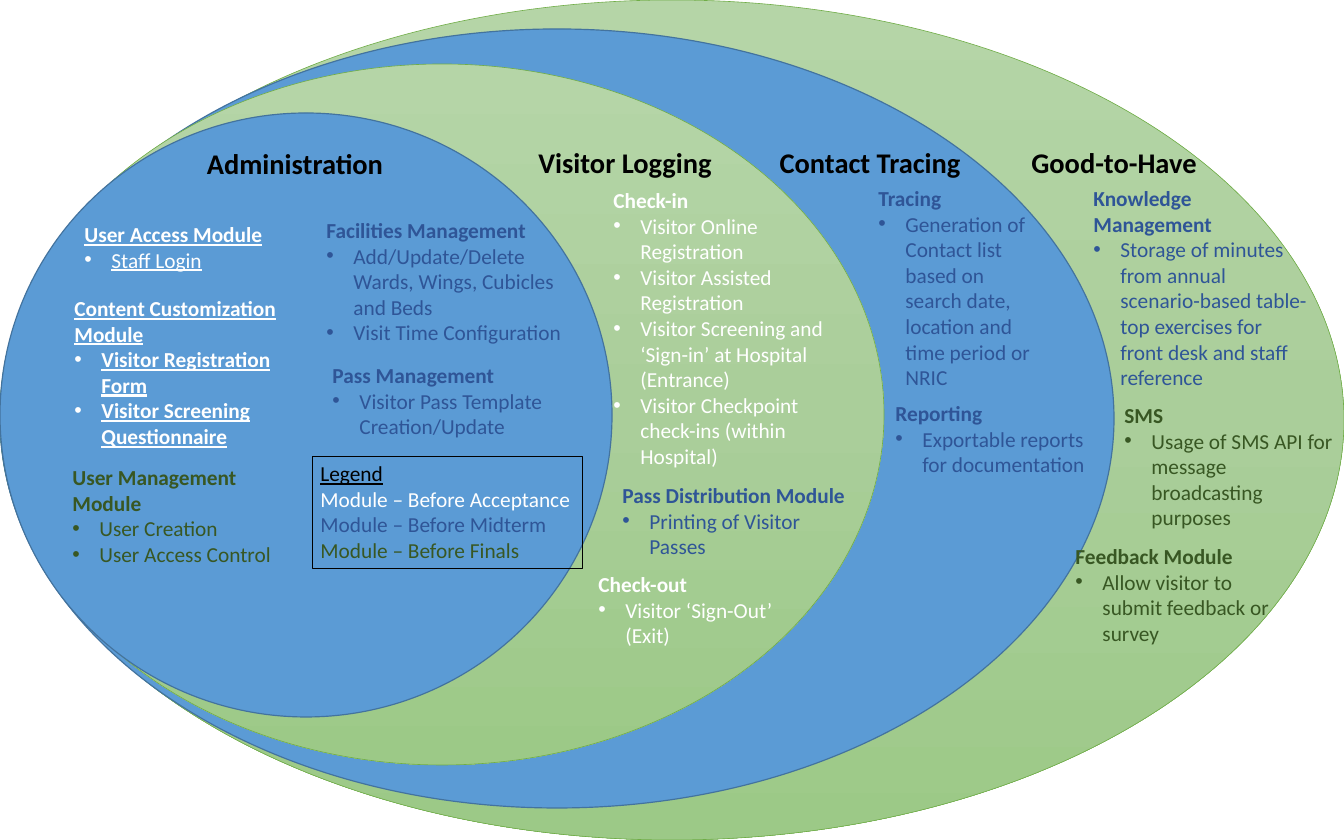
from copy import deepcopy
from lxml.etree import SubElement
from pptx import Presentation
from pptx.dml.color import RGBColor
from pptx.enum.shapes import MSO_SHAPE as Preset
from pptx.enum.text import MSO_ANCHOR as Anchor, PP_ALIGN as Align
from pptx.oxml.ns import qn
from pptx.util import Emu, Pt

BLACK = RGBColor(0x00, 0x00, 0x00)
WHITE = RGBColor(0xFF, 0xFF, 0xFF)
NAVY = RGBColor(0x2F, 0x55, 0x97)
FOREST = RGBColor(0x38, 0x57, 0x23)
BLUE = RGBColor(0x5B, 0x9B, 0xD5)
BLUE_EDGE = RGBColor(0x43, 0x73, 0x9E)
GREEN_EDGE = RGBColor(0x70, 0xAD, 0x47)
GREENS = (
    (0, RGBColor(0xB5, 0xD5, 0xA7)),
    (0.5, RGBColor(0xAA, 0xCE, 0x9A)),
    (1, RGBColor(0x9C, 0xC9, 0x87)),
)
SCALE = 14401800 / 1344


def px(length):
    return Emu(round(length * SCALE))


class ScopeDiagram:
    font_name = "Calibri"
    heading_size = 24
    body_size = 18
    bullet_indent = 27

    def __init__(self, slide):
        self.slide = slide

    def ellipse(self, top, width, height, green):
        shape = self.slide.shapes.add_shape(Preset.OVAL, *map(px, (0, top, width, height)))
        shape.shadow.inherit = False
        if green:
            self.gradient(shape)
        else:
            shape.fill.solid()
            shape.fill.fore_color.rgb = BLUE
        shape.line.color.rgb = GREEN_EDGE if green else BLUE_EDGE
        shape.line.width = Pt(0.5 if green else 1)

    def gradient(self, shape):
        shape.fill.gradient()
        shape.fill.gradient_angle = 270
        stop_list = shape._element.spPr.find(".//" + qn("a:gsLst"))
        stop_list.insert(1, deepcopy(stop_list[0]))
        for stop, (position, color) in zip(shape.fill.gradient_stops, GREENS):
            stop.position = position
            stop.color.rgb = color

    def text_box(self, left, top, width, height, wrap=True):
        box = self.slide.shapes.add_textbox(*map(px, (left, top, width, height)))
        box.text_frame.word_wrap = wrap
        box.text_frame.vertical_anchor = Anchor.TOP
        return box

    def add_text(self, paragraph, text, color, **formats):
        run = paragraph.add_run()
        run.text = text
        run.font.color.rgb = color
        values = {"name": self.font_name, "size": Pt(self.body_size), **formats}
        for name, value in values.items():
            setattr(run.font, name, value)

    def bullet(self, paragraph):
        properties = paragraph._p.get_or_add_pPr()
        indent = px(self.bullet_indent)
        properties.set("marL", str(indent))
        properties.set("indent", str(-indent))
        SubElement(properties, qn("a:buFont"), typeface="Arial")
        SubElement(properties, qn("a:buChar"), char="•")

    def heading(self, text, left, top):
        paragraph = self.text_box(left, top, 396, 43).text_frame.paragraphs[0]
        paragraph.alignment = Align.CENTER
        self.add_text(paragraph, text, BLACK, bold=True, size=Pt(self.heading_size))

    def module(self, bounds, color, title, items, underline=False, bold_items=False):
        frame = self.text_box(*bounds).text_frame
        self.add_text(frame.paragraphs[0], title, color, bold=True, underline=underline)
        for item in items:
            paragraph = frame.add_paragraph()
            self.bullet(paragraph)
            self.add_text(paragraph, item, color, bold=bold_items, underline=underline)

    def legend(self, bounds, title, entries):
        box = self.text_box(*bounds, wrap=False)
        box.line.color.rgb = BLACK
        box.line.width = Pt(0.75)
        frame = box.text_frame
        self.add_text(frame.paragraphs[0], title, BLACK, underline=True)
        for text, color in entries:
            self.add_text(frame.add_paragraph(), text, color)


RINGS = (
    (0, 1344, 840, True),
    (29, 1114, 779, False),
    (64, 884, 701, True),
    (113, 612, 604, False),
)
HEADINGS = (
    ("Administration", 97, 142),
    ("Visitor Logging", 427, 141),
    ("Contact Tracing", 672, 141),
    ("Good-to-Have", 916, 141),
)
MODULES = (
    ((64, 460, 232, 112), FOREST, "User Management Module",
     ("User Creation", "User Access Control")),
    ((318, 213, 252, 164), NAVY, "Facilities Management",
     ("Add/Update/Delete Wards, Wings, Cubicles and Beds", "Visit Time Configuration")),
    ((324, 358, 233, 112), NAVY, "Pass Management",
     ("Visitor Pass Template Creation/Update",)),
    ((605, 183, 232, 293), WHITE, "Check-in",
     ("Visitor Online Registration", "Visitor Assisted Registration",
      "Visitor Screening and ‘Sign-in’ at Hospital (Entrance)",
      "Visitor Checkpoint check-ins (within Hospital)")),
    ((614, 478, 244, 86), NAVY, "Pass Distribution Module",
     ("Printing of Visitor Passes",)),
    ((590, 567, 197, 86), WHITE, "Check-out", ("Visitor ‘Sign-Out’ (Exit)",)),
    ((870, 181, 183, 215), NAVY, "Tracing",
     ("Generation of Contact list based on search date, location and time period or NRIC",)),
    ((887, 396, 232, 86), NAVY, "Reporting", ("Exportable reports for documentation",)),
    ((1085, 181, 232, 215), NAVY, "Knowledge Management",
     ("Storage of minutes from annual scenario-based table-top exercises "
      "for front desk and staff reference",)),
    ((1116, 398, 228, 138), FOREST, "SMS",
     ("Usage of SMS API for message broadcasting purposes",)),
    ((1067, 539, 234, 112), FOREST, "Feedback Module",
     ("Allow visitor to submit feedback or survey",)),
)
LEGEND = (
    ("Module – Before Acceptance", WHITE),
    ("Module – Before Midterm", NAVY),
    ("Module – Before Finals", FOREST),
)

presentation = Presentation()
presentation.slide_width = px(1344)
presentation.slide_height = px(840)
diagram = ScopeDiagram(presentation.slides.add_slide(presentation.slide_layouts[6]))

for ring in RINGS:
    diagram.ellipse(*ring)
for heading in HEADINGS:
    diagram.heading(*heading)
diagram.module((76, 217, 197, 86), WHITE, "User Access Module", ("Staff Login",), underline=True)
diagram.module((66, 291, 238, 189), WHITE, "Content Customization Module",
               ("Visitor Registration Form", "Visitor Screening Questionnaire"),
               underline=True, bold_items=True)
for module in MODULES:
    diagram.module(*module)
diagram.legend((312, 456, 270, 112), "Legend", LEGEND)

presentation.save("out.pptx")
